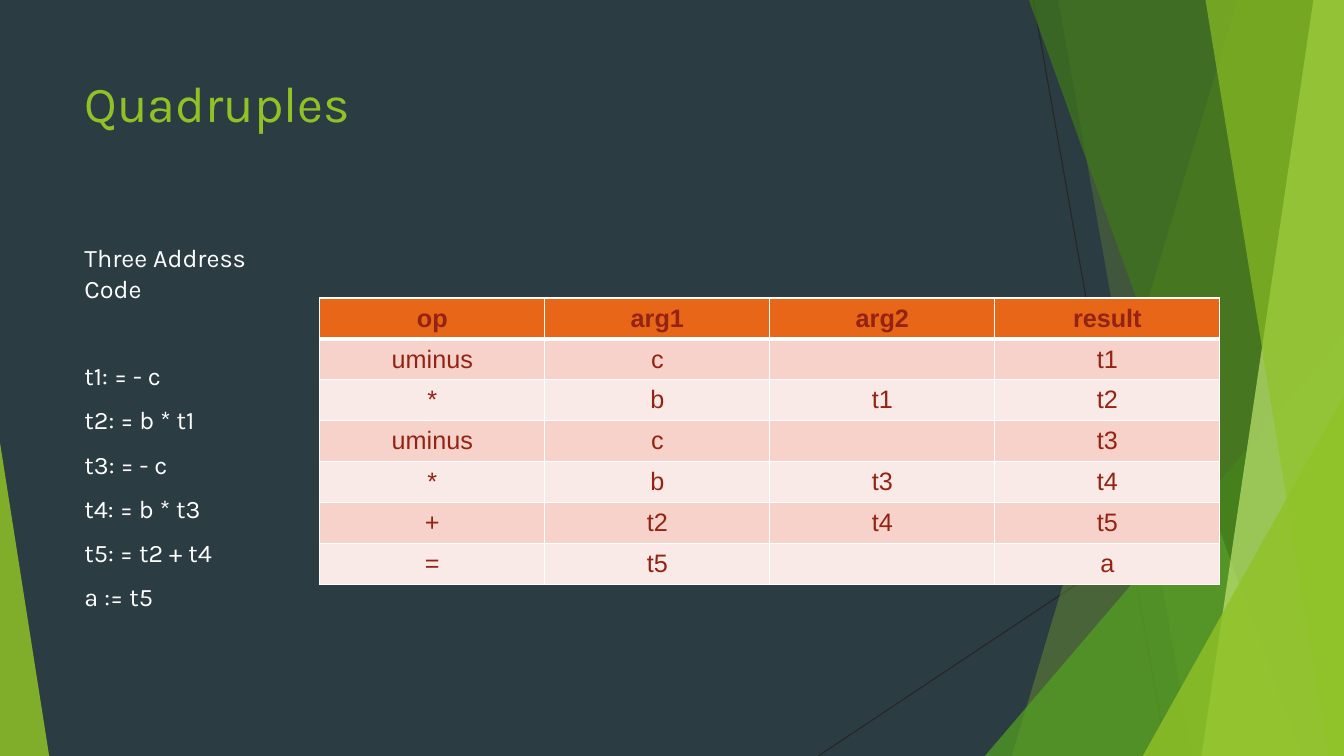
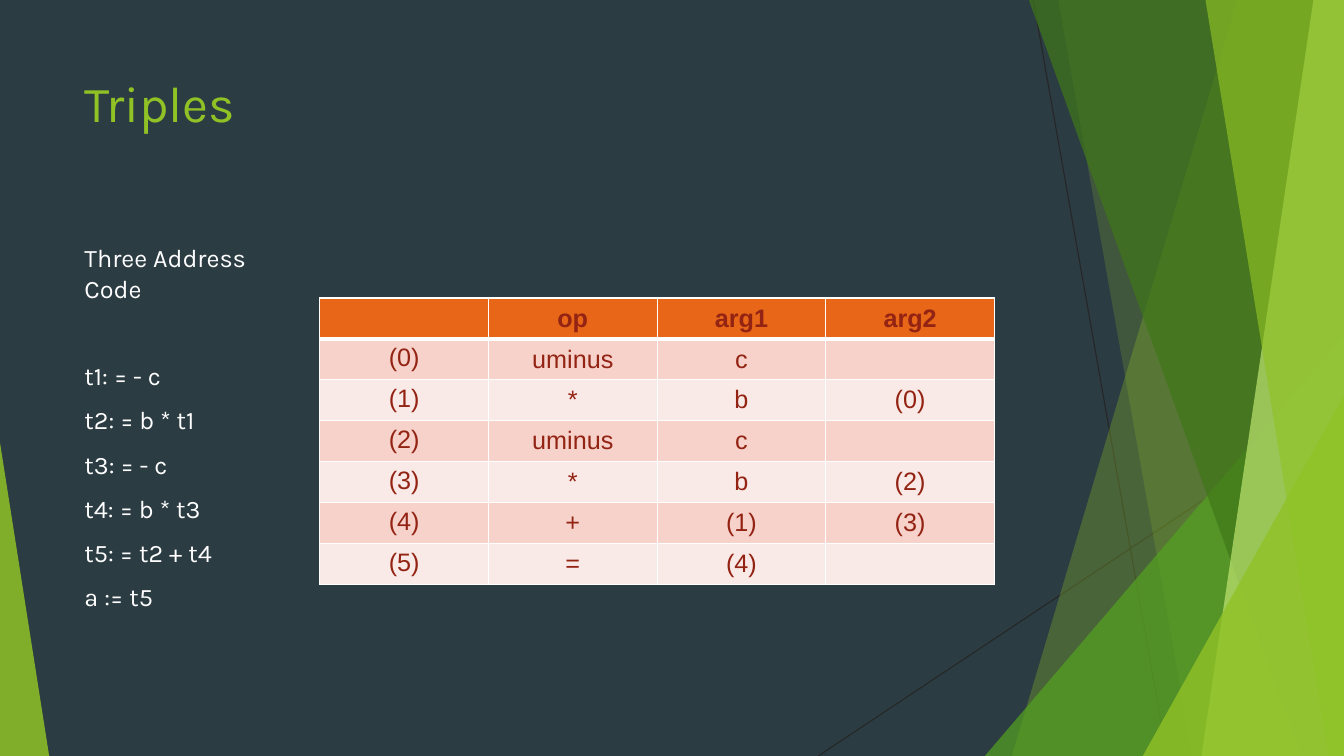
from lxml.etree import SubElement
from pptx import Presentation
from pptx.dml.color import RGBColor
from pptx.enum.shapes import MSO_CONNECTOR, MSO_SHAPE
from pptx.enum.text import MSO_ANCHOR, MSO_AUTO_SIZE, PP_ALIGN
from pptx.oxml.ns import qn
from pptx.util import Cm, Pt

BACKGROUND = RGBColor(0x2C, 0x3C, 0x43)
GREEN = RGBColor(0x90, 0xC2, 0x26)
MID_GREEN = RGBColor(0x54, 0xA0, 0x21)
DARK_GREEN = RGBColor(0x3F, 0x78, 0x18)
PALE_GREEN = RGBColor(0xBF, 0xE4, 0x71)
LINE_GREY = RGBColor(0x26, 0x26, 0x26)
BODY_WHITE = RGBColor(0xFE, 0xFE, 0xFE)
BORDER_WHITE = RGBColor(0xFF, 0xFF, 0xFF)
HEADER_ORANGE = RGBColor(0xE7, 0x66, 0x18)
BAND_COLORS = (RGBColor(0xFA, 0xEA, 0xE7), RGBColor(0xF6, 0xD2, 0xCB))
TABLE_RED = RGBColor(0x93, 0x23, 0x13)

TITLE_FONT = "Karla"
TABLE_FONT = "Arial"
WIDTH, HEIGHT = 33.87, 19.05

CODE_HEADING = "Three Address Code"
CODE_LINES = [
    "t1: = - c",
    "t2: = b * t1",
    "t3: = - c",
    "t4: = b * t3",
    "t5: = t2 + t4",
    "a := t5",
]

SLIDES = [
    {
        "title": "Quadruples",
        "column_width": 5.67,
        "numbered": False,
        "rows": [
            ("op", "arg1", "arg2", "result"),
            ("uminus", "c", "", "t1"),
            ("*", "b", "t1", "t2"),
            ("uminus", "c", "", "t3"),
            ("*", "b", "t3", "t4"),
            ("+", "t2", "t4", "t5"),
            ("=", "t5", "", "a"),
        ],
    },
    {
        "title": "Triples",
        "column_width": 4.25,
        "numbered": True,
        "rows": [
            ("", "op", "arg1", "arg2"),
            ("(0)", "uminus", "c", ""),
            ("(1)", "*", "b", "(0)"),
            ("(2)", "uminus", "c", ""),
            ("(3)", "*", "b", "(2)"),
            ("(4)", "+", "(1)", "(3)"),
            ("(5)", "=", "(4)", ""),
        ],
    },
]

# Lengths in centimetres, listed from back to front
THIN_LINES = [(26.04, 0, 29.41, HEIGHT), (WIDTH, 10.24, 20.62, HEIGHT)]
# Bands: top left x, bottom left x, colour, opacity; each runs to the right edge
# Triangles: left, top, width, apex position, colour, opacity; each stands on the bottom edge
FACETS = [
    ("band", (31.19, 25.5), GREEN, 30),
    ("band", (26.67, 30.05), GREEN, 20),
    ("triangle", (24.82, 8.46, 9.05, 1), MID_GREEN, 72),
    ("band", (25.93, 32.79), DARK_GREEN, 70),
    ("band", (33.1, 30.28), PALE_GREEN, 70),
    ("band", (30.38, 33.48), GREEN, 65),
    ("triangle", (28.8, 9.98, 5.07, 1), GREEN, 80),
    ("triangle", (0, 11.15, 1.24, 0), GREEN, 85),
]


def add_thin_line(slide, ends):
    line = slide.shapes.add_connector(MSO_CONNECTOR.STRAIGHT, *map(Cm, ends))
    line.line.color.rgb = LINE_GREY
    line.line.width = Pt(0.75)
    SubElement(line.element.spPr, qn("a:effectLst"))
    return line


def add_facet(slide, kind, geometry, color, opacity):
    """Add one translucent band or triangle."""
    if kind == "band":
        top_x, bottom_x = geometry
        builder = slide.shapes.build_freeform(Cm(top_x), 0)
        corners = [(WIDTH, 0), (WIDTH, HEIGHT), (bottom_x, HEIGHT)]
        builder.add_line_segments([(Cm(x), Cm(y)) for x, y in corners])
        facet = builder.convert_to_shape()
    else:
        left, top, width, apex = geometry
        facet = slide.shapes.add_shape(
            MSO_SHAPE.ISOSCELES_TRIANGLE, Cm(left), Cm(top), Cm(width), Cm(HEIGHT - top))
        facet.adjustments[0] = apex
    facet.shadow.inherit = False
    facet.line.fill.background()
    facet.fill.solid()
    facet.fill.fore_color.rgb = color
    color_element = facet.element.xpath("./p:spPr/a:solidFill/a:srgbClr")[0]
    SubElement(color_element, qn("a:alpha"), val=str(opacity * 1000))
    return facet


def decorate_layout(layout, slide):
    """Draw the facets on a slide and move them to the layout all slides share."""
    for placeholder in list(layout.placeholders)[1:]:
        layout.shapes.element.remove(placeholder.element)
    shapes = [add_thin_line(slide, ends) for ends in THIN_LINES]
    shapes += [add_facet(slide, *facet) for facet in FACETS]
    for shape in shapes:
        layout.shapes.element.append(shape.element)


def style_paragraph(paragraph, font_name, size, color, alignment, bold=False):
    paragraph.alignment = alignment
    paragraph.font.name = font_name
    paragraph.font.size = Pt(size)
    paragraph.font.color.rgb = color
    paragraph.font.bold = bold


def set_title(slide, text):
    title = slide.shapes.title
    title.left, title.top, title.width, title.height = map(Cm, (1.88, 1.7, 23.88, 3.66))
    frame = title.text_frame
    frame.text = text
    frame.auto_size = MSO_AUTO_SIZE.NONE
    frame.vertical_anchor = MSO_ANCHOR.TOP
    style_paragraph(frame.paragraphs[0], TITLE_FONT, 36, GREEN, PP_ALIGN.LEFT)


def add_code(slide):
    box = slide.shapes.add_textbox(Cm(1.88), Cm(5.99), Cm(6.15), Cm(10.77))
    frame = box.text_frame
    frame.word_wrap = True
    frame.text = "\n".join([CODE_HEADING] + CODE_LINES)
    for index, paragraph in enumerate(frame.paragraphs):
        style_paragraph(paragraph, TITLE_FONT, 18, BODY_WHITE, PP_ALIGN.LEFT)
        if index:
            paragraph.space_before = Pt(41 if index == 1 else 10)


def set_borders(cell, top, bottom):
    """Give a cell white borders; the top and bottom widths are in points."""
    properties = cell._tc.get_or_add_tcPr()
    for side, width in (("L", 1), ("R", 1), ("T", top), ("B", bottom)):
        border = SubElement(properties, qn(f"a:ln{side}"), w=str(Pt(width)))
        fill = SubElement(border, qn("a:solidFill"))
        SubElement(fill, qn("a:srgbClr"), val=str(BORDER_WHITE))


def add_code_table(slide, rows, column_width, numbered):
    row_height = 1.03
    column_count = len(rows[0])
    table = slide.shapes.add_table(
        len(rows), column_count, Cm(8.06), Cm(7.51),
        Cm(column_width * column_count), Cm(row_height * len(rows))).table
    for column in table.columns:
        column.width = Cm(column_width)
    for row_index, texts in enumerate(rows):
        is_header = row_index == 0
        table.rows[row_index].height = Cm(row_height)
        for column_index, text in enumerate(texts):
            cell = table.cell(row_index, column_index)
            set_borders(cell, 3 if row_index == 1 else 1, 3 if is_header else 1)
            cell.fill.solid()
            cell.fill.fore_color.rgb = HEADER_ORANGE if is_header else BAND_COLORS[row_index % 2]
            is_number = numbered and column_index == 0
            cell.vertical_anchor = MSO_ANCHOR.TOP if is_number else MSO_ANCHOR.MIDDLE
            cell.text = text
            style_paragraph(cell.text_frame.paragraphs[0], TABLE_FONT, 18, TABLE_RED,
                            PP_ALIGN.CENTER, is_header)


def main():
    presentation = Presentation()
    presentation.slide_width = Cm(WIDTH)
    presentation.slide_height = Cm(HEIGHT)
    background = presentation.slide_master.background.fill
    background.solid()
    background.fore_color.rgb = BACKGROUND
    layout = presentation.slide_layouts.get_by_name("Title Only")

    for index, content in enumerate(SLIDES):
        slide = presentation.slides.add_slide(layout)
        if index == 0:
            decorate_layout(layout, slide)
        set_title(slide, content["title"])
        add_code(slide)
        add_code_table(slide, content["rows"], content["column_width"], content["numbered"])
    presentation.save("out.pptx")


if __name__ == "__main__":
    main()
